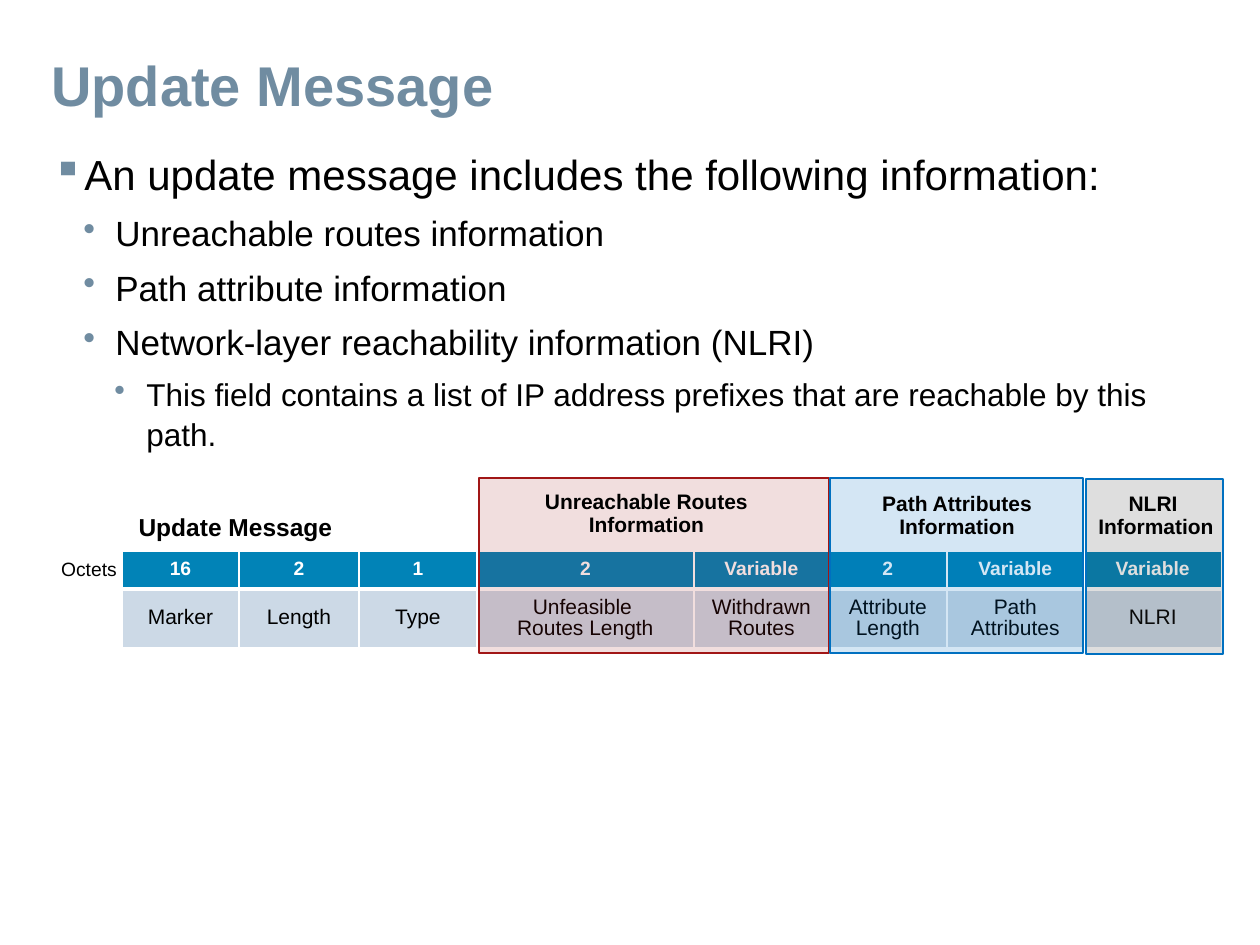
import pptx
import pptx.dml.color
import pptx.enum.shapes
import pptx.enum.text
import pptx.oxml
import pptx.oxml.ns
import pptx.util

RGBColor = pptx.dml.color.RGBColor
ALIGN = pptx.enum.text.PP_ALIGN
ANCHOR = pptx.enum.text.MSO_ANCHOR

SLATE = RGBColor(0x70, 0x8C, 0xA1)
BLACK = RGBColor(0x00, 0x00, 0x00)
WHITE = RGBColor(0xFF, 0xFF, 0xFF)
HEADER_BLUE = RGBColor(0x01, 0x83, 0xB7)
FIELD_BLUE = RGBColor(0xCC, 0xD9, 0xE6)
RED = RGBColor(0xA1, 0x16, 0x16)
BLUE = RGBColor(0x00, 0x70, 0xC0)
GRAY = RGBColor(0x40, 0x40, 0x40)

BULLETS = [
    (0, "An update message includes the following information:"),
    (1, "Unreachable routes information"),
    (1, "Path attribute information"),
    (1, "Network-layer reachability information (NLRI)"),
    (2, "This field contains a list of IP address prefixes that are reachable by this path."),
]
BULLET_LEVELS = [("▪", 33, 24), ("•", 64, 20), ("•", 95, 18)]
BULLET_HANG = 32

FIELDS = [
    (117, "16", "Marker"),
    (120, "2", "Length"),
    (118, "1", "Type"),
    (217, "2", "Unfeasible \nRoutes Length"),
    (135, "Variable", "Withdrawn Routes"),
    (118, "2", "Attribute Length"),
    (137, "Variable", "Path Attributes"),
    (138, "Variable", "NLRI"),
]

GROUPS = [
    ((479, 478, 350, 175), RED, RED, 14),
    ((830, 478, 253, 175), BLUE, BLUE, 17),
    ((1086, 479, 137, 175), GRAY, BLUE, 17),
]
GROUP_LABELS = [
    ((481, 481, 331, 66), "Unreachable Routes Information"),
    ((835, 483, 244, 66), "Path Attributes Information"),
    ((1071, 483, 170, 66), "NLRI \nInformation"),
]


def px(length):
    """Turn pixels into EMU."""
    return pptx.util.Emu(round(length * 914400 / 126))


def add_xml(parent, markup):
    """Append a DrawingML fragment to an element."""
    tag, rest = markup.split(" ", 1)
    namespace = pptx.oxml.ns.nsdecls("a")
    parent.append(pptx.oxml.parse_xml(f"{tag} {namespace} {rest}"))


class SlideBuilder:
    """Hold the text style and the current slide, and add elements to it."""

    def __init__(self, slide, font_name="Arial", line_spacing=0.9):
        self.slide = slide
        self.font_name = font_name
        self.line_spacing = line_spacing

    def style(self, paragraph, size, color=BLACK, bold=False, align=ALIGN.CENTER):
        paragraph.alignment = align
        paragraph.line_spacing = self.line_spacing
        font = paragraph.font
        font.name = self.font_name
        font.size = pptx.util.Pt(size)
        font.bold = bold
        font.color.rgb = color

    def text(self, box, text, size, color=BLACK, bold=False, align=ALIGN.CENTER,
             anchor=ANCHOR.MIDDLE, wrap=True):
        frame = self.slide.shapes.add_textbox(*map(px, box)).text_frame
        frame.word_wrap = wrap
        frame.vertical_anchor = anchor
        frame.text = text
        for paragraph in frame.paragraphs:
            self.style(paragraph, size, color, bold, align)

    def bullets(self, box, items):
        frame = self.slide.shapes.add_textbox(*map(px, box)).text_frame
        frame.word_wrap = True
        frame.text = "\n".join(text for level, text in items)
        for paragraph, (level, text) in zip(frame.paragraphs, items):
            mark, margin, size = BULLET_LEVELS[level]
            paragraph.level = level
            properties = paragraph._p.get_or_add_pPr()
            properties.set("marL", str(px(margin)))
            properties.set("indent", str(-px(BULLET_HANG)))
            add_xml(properties, f'<a:buClr ><a:srgbClr val="{SLATE}"/></a:buClr>')
            add_xml(properties, f'<a:buChar char="{mark}"/>')
            self.style(paragraph, size, align=ALIGN.LEFT)
            paragraph.line_spacing = 1.05
            paragraph.space_after = pptx.util.Pt(6)

    def cell(self, cell, text, fill, size, color, bold, borders):
        properties = cell._tc.get_or_add_tcPr()
        for side, width in borders.items():
            add_xml(properties, f'<a:ln{side} w="{pptx.util.Pt(width)}"><a:solidFill>'
                                f'<a:srgbClr val="{WHITE}"/></a:solidFill></a:ln{side}>')
        cell.fill.solid()
        cell.fill.fore_color.rgb = fill
        cell.vertical_anchor = ANCHOR.MIDDLE
        cell.text = text
        for paragraph in cell.text_frame.paragraphs:
            self.style(paragraph, size, color, bold)

    def table(self, left, top, row_heights, fields):
        width = sum(field[0] for field in fields)
        box = map(px, (left, top, width, sum(row_heights)))
        table = self.slide.shapes.add_table(len(row_heights), len(fields), *box).table
        table.first_row = table.horz_banding = False
        for row, height in zip(table.rows, row_heights):
            row.height = px(height)
        for index, (column_width, octets, name) in enumerate(fields):
            table.columns[index].width = px(column_width)
            self.cell(table.cell(0, index), octets, HEADER_BLUE, 11, WHITE, True,
                      {"L": 1, "R": 1, "T": 1, "B": 3})
            self.cell(table.cell(1, index), name, FIELD_BLUE, 12, BLACK, False,
                      {"L": 1, "R": 1, "T": 3, "B": 1})

    def overlay(self, box, fill, line, opacity):
        kind = pptx.enum.shapes.MSO_SHAPE.RECTANGLE
        shape = self.slide.shapes.add_shape(kind, *map(px, box))
        shape.shadow.inherit = False
        shape.fill.solid()
        shape.fill.fore_color.rgb = fill
        color = shape._element.spPr.find(".//" + pptx.oxml.ns.qn("a:srgbClr"))
        add_xml(color, f'<a:alpha val="{opacity * 1000}"/>')
        shape.line.color.rgb = line
        shape.line.width = pptx.util.Pt(0.75)


def main():
    presentation = pptx.Presentation()
    presentation.slide_width, presentation.slide_height = px(1260), px(945)
    builder = SlideBuilder(presentation.slides.add_slide(presentation.slide_layouts[6]))

    builder.text((39, 50, 1174, 76), "Update Message", 32, SLATE, True, ALIGN.LEFT)
    builder.bullets((39, 140, 1174, 751), BULLETS)
    builder.table(122, 551, (38, 59), FIELDS)
    builder.text((48, 554, 82, 34), "Octets", 11, anchor=ANCHOR.TOP, wrap=False)
    for group in GROUPS:
        builder.overlay(*group)
    builder.text((126, 509, 219, 39), "Update Message", 14, bold=True,
                 anchor=ANCHOR.TOP, wrap=False)
    for box, label in GROUP_LABELS:
        builder.text(box, label, 12, bold=True)
    presentation.save("out.pptx")


if __name__ == "__main__":
    main()
